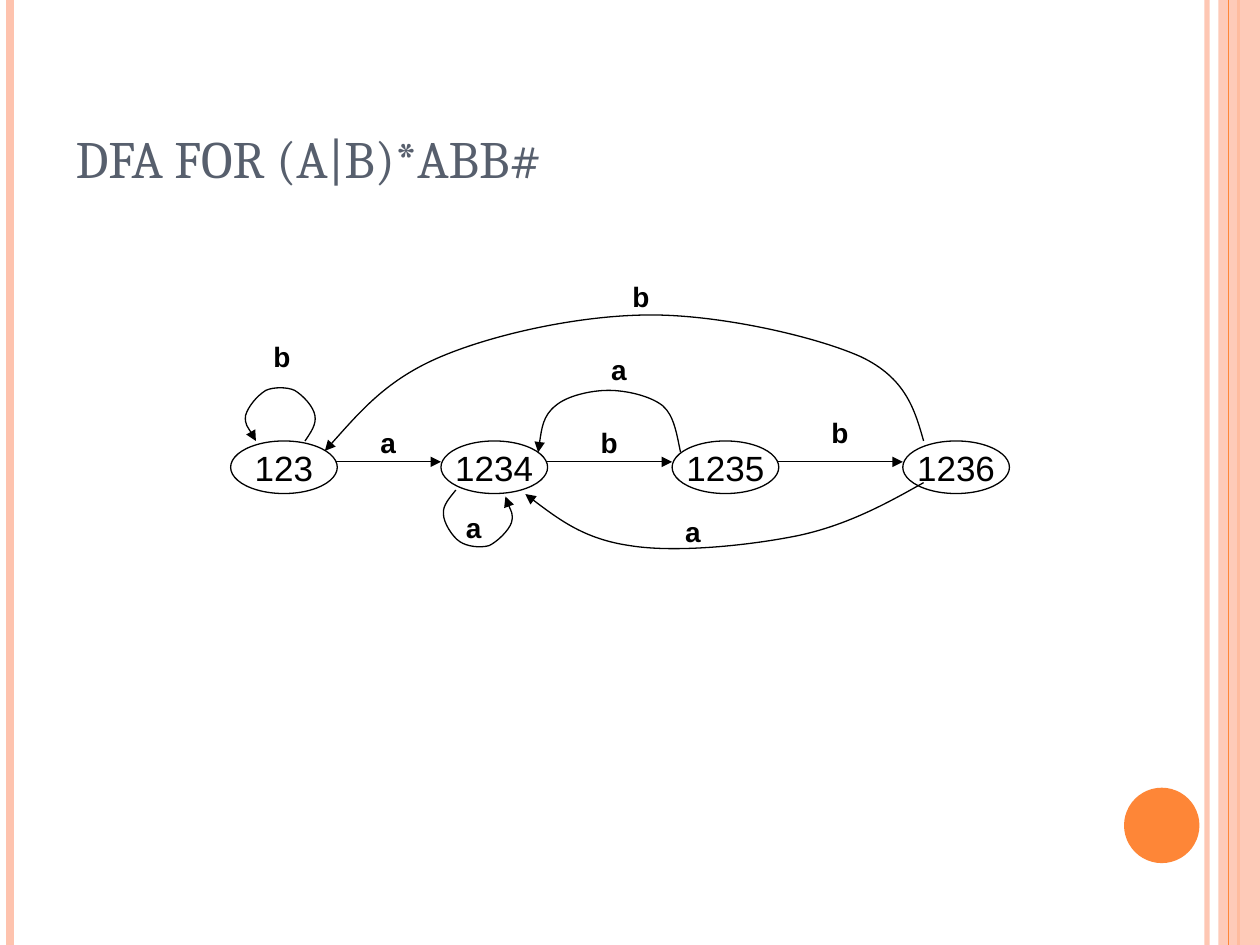
from itertools import chain
from pptx import Presentation
from pptx.dml.color import RGBColor
from pptx.enum.shapes import MSO_CONNECTOR, MSO_SHAPE
from pptx.enum.text import MSO_ANCHOR, MSO_AUTO_SIZE, PP_ALIGN
from pptx.oxml.ns import qn
from pptx.oxml.xmlchemy import OxmlElement
from pptx.util import Cm, Pt

BLACK = RGBColor(0x00, 0x00, 0x00)
SLATE = RGBColor(0x57, 0x5F, 0x6D)
ORANGE = RGBColor(0xFE, 0x86, 0x37)
PEACH = RGBColor(0xFE, 0xC3, 0xAE)

SLIDE_WIDTH, SLIDE_HEIGHT = 25.4, 19.05
TITLE = "DFA FOR (A|B)*ABB#"
STATES = [("123", 4.65), ("1234", 8.89), ("1235", 13.55), ("1236", 18.2)]
STATE_TOP, STATE_WIDTH, STATE_HEIGHT = 8.89, 2.15, 1.06
STEP_Y = 9.31
STEPS = [(6.78, 8.89), (11, 13.55), (15.67, 18.2)]

ARCS = [
    [(6.15, 8.89),
     (6.27, 8.71), (6.38, 8.56), (6.35, 8.38),
     (6.32, 8.2), (6.12, 7.98), (5.94, 7.87),
     (5.79, 7.8), (5.51, 7.8), (5.36, 7.87),
     (5.18, 7.98), (5, 8.2), (4.95, 8.38),
     (4.93, 8.56), (5.13, 8.81), (5.16, 8.89)],
    [(9.19, 9.88),
     (9.07, 10.03), (8.92, 10.19), (8.94, 10.36),
     (8.94, 10.54), (9.12, 10.82), (9.27, 10.92),
     (9.42, 11.02), (9.68, 11.05), (9.86, 11),
     (10.03, 10.92), (10.26, 10.69), (10.31, 10.54),
     (10.36, 10.36), (10.21, 10.11), (10.19, 10.01)],
    [(13.72, 9.12),
     (13.64, 8.74), (13.59, 8.38), (13.36, 8.18),
     (13.11, 7.98), (12.62, 7.87), (12.27, 7.87),
     (11.91, 7.87), (11.43, 7.98), (11.2, 8.18),
     (10.95, 8.38), (10.9, 8.74), (10.85, 9.12)],
    [(18.62, 8.89),
     (18.44, 8.26), (18.26, 7.62), (17.35, 7.19),
     (16.43, 6.78), (14.53, 6.35), (13.13, 6.35),
     (11.71, 6.35), (9.98, 6.73), (8.89, 7.19),
     (7.8, 7.65), (7.19, 8.38), (6.55, 9.09)],
    [(18.62, 9.73),
     (17.86, 10.16), (17.07, 10.59), (16.08, 10.8),
     (15.09, 11), (13.61, 11.15), (12.7, 11),
     (11.79, 10.87), (11.18, 10.41), (10.59, 9.96)],
]
LABELS = [
    ("b", 5.26, 6.73), ("b", 12.5, 5.51), ("b", 16.51, 8.26), ("b", 11.86, 8.46),
    ("a", 7.42, 8.46), ("a", 12.07, 6.99), ("a", 13.56, 10.24), ("a", 9.14, 10.16),
]
TITLE_FONT = {"name": "Cambria", "size": Pt(30), "bold": False}
STATE_FONT = {"name": "Arial", "size": Pt(20), "bold": False}
LABEL_FONT = {"name": "Arial", "size": Pt(16), "bold": True}


def write(frame, text, font, color, **frame_format):
    for key, value in frame_format.items():
        setattr(frame, key, value)
    paragraph = frame.paragraphs[0]
    paragraph.text = text
    for key, value in font.items():
        setattr(paragraph.font, key, value)
    paragraph.font.color.rgb = color
    return paragraph


def set_line(shape, color, width):
    shape.line.color.rgb = color
    shape.line.width = Pt(width)


def set_opacity(fill_parent, percent):
    alpha = OxmlElement("a:alpha")
    alpha.set("val", str(percent * 1000))
    fill_parent.find(qn("a:solidFill"))[0].append(alpha)


def add_arrowhead(shape):
    head = OxmlElement("a:tailEnd")
    head.set("type", "triangle")
    shape.line._get_or_add_ln().append(head)


def add_line(shapes, start, end, color, width):
    line = shapes.add_connector(MSO_CONNECTOR.STRAIGHT, *map(Cm, start + end))
    set_line(line, color, width)
    line._element.spPr.append(OxmlElement("a:effectLst"))
    return line


def add_filled(shapes, kind, box, color):
    shape = shapes.add_shape(kind, *map(Cm, box))
    shape.shadow.inherit = False
    shape.fill.solid()
    shape.fill.fore_color.rgb = color
    shape.line.fill.background()
    return shape


def add_frame(shapes):
    def rule(x, color, width):
        return add_line(shapes, (x, 0), (x, SLIDE_HEIGHT), color, width)

    inner = rule(24.33, PEACH, 3)
    set_opacity(inner.line._get_or_add_ln(), 93)
    rule(0.2, PEACH, 4.5)
    rule(24.97, ORANGE, 1.5)
    band = add_filled(shapes, MSO_SHAPE.RECTANGLE, (24.56, 0, 0.84, SLIDE_HEIGHT), PEACH)
    set_opacity(band._element.spPr, 87)
    rule(24.77, ORANGE, 0.75)
    add_filled(shapes, MSO_SHAPE.OVAL, (22.66, 15.88, 1.52, 1.52), ORANGE)


def add_state(shapes, name, left):
    state = shapes.add_shape(
        MSO_SHAPE.OVAL, *map(Cm, (left, STATE_TOP, STATE_WIDTH, STATE_HEIGHT)))
    state.shadow.inherit = False
    state.fill.background()
    set_line(state, BLACK, 0.75)
    paragraph = write(state.text_frame, name, STATE_FONT, BLACK,
                      word_wrap=False, vertical_anchor=MSO_ANCHOR.MIDDLE)
    paragraph.alignment = PP_ALIGN.CENTER


def add_arc(shapes, points):
    start, *rest = [(Cm(x), Cm(y)) for x, y in points]
    builder = shapes.build_freeform(*start)
    builder.add_line_segments(rest, close=False)
    arc = builder.convert_to_shape()
    outline = next(arc._element.iter(qn("a:path")))
    segments = outline.findall(qn("a:lnTo"))
    for trio in zip(*[iter(segments)] * 3):
        curve = OxmlElement("a:cubicBezTo")
        outline.append(curve)
        for point in chain.from_iterable(map(list, trio)):
            curve.append(point)
    for segment in segments:
        outline.remove(segment)
    arc.shadow.inherit = False
    arc.fill.background()
    set_line(arc, BLACK, 0.75)
    add_arrowhead(arc)


def main():
    deck = Presentation()
    deck.slide_width, deck.slide_height = Cm(SLIDE_WIDTH), Cm(SLIDE_HEIGHT)
    slide = deck.slides.add_slide(deck.slide_layouts[5])
    shapes = slide.shapes
    add_frame(shapes)

    title = shapes.title
    title.left, title.top, title.width, title.height = map(Cm, (1.27, 0.76, 20.75, 3.18))
    heading = write(title.text_frame, TITLE, TITLE_FONT, SLATE, word_wrap=True,
                    auto_size=MSO_AUTO_SIZE.NONE, vertical_anchor=MSO_ANCHOR.BOTTOM)
    heading.alignment = PP_ALIGN.LEFT

    for name, left in STATES:
        add_state(shapes, name, left)
    for points in ARCS:
        add_arc(shapes, points)
    for start, end in STEPS:
        add_arrowhead(add_line(shapes, (start, STEP_Y), (end, STEP_Y), BLACK, 0.75))
    for letter, left, top in LABELS:
        label = shapes.add_textbox(*map(Cm, (left, top, 0.84, 0.94)))
        write(label.text_frame, letter, LABEL_FONT, BLACK,
              word_wrap=False, auto_size=MSO_AUTO_SIZE.SHAPE_TO_FIT_TEXT)

    deck.save("out.pptx")


if __name__ == "__main__":
    main()
